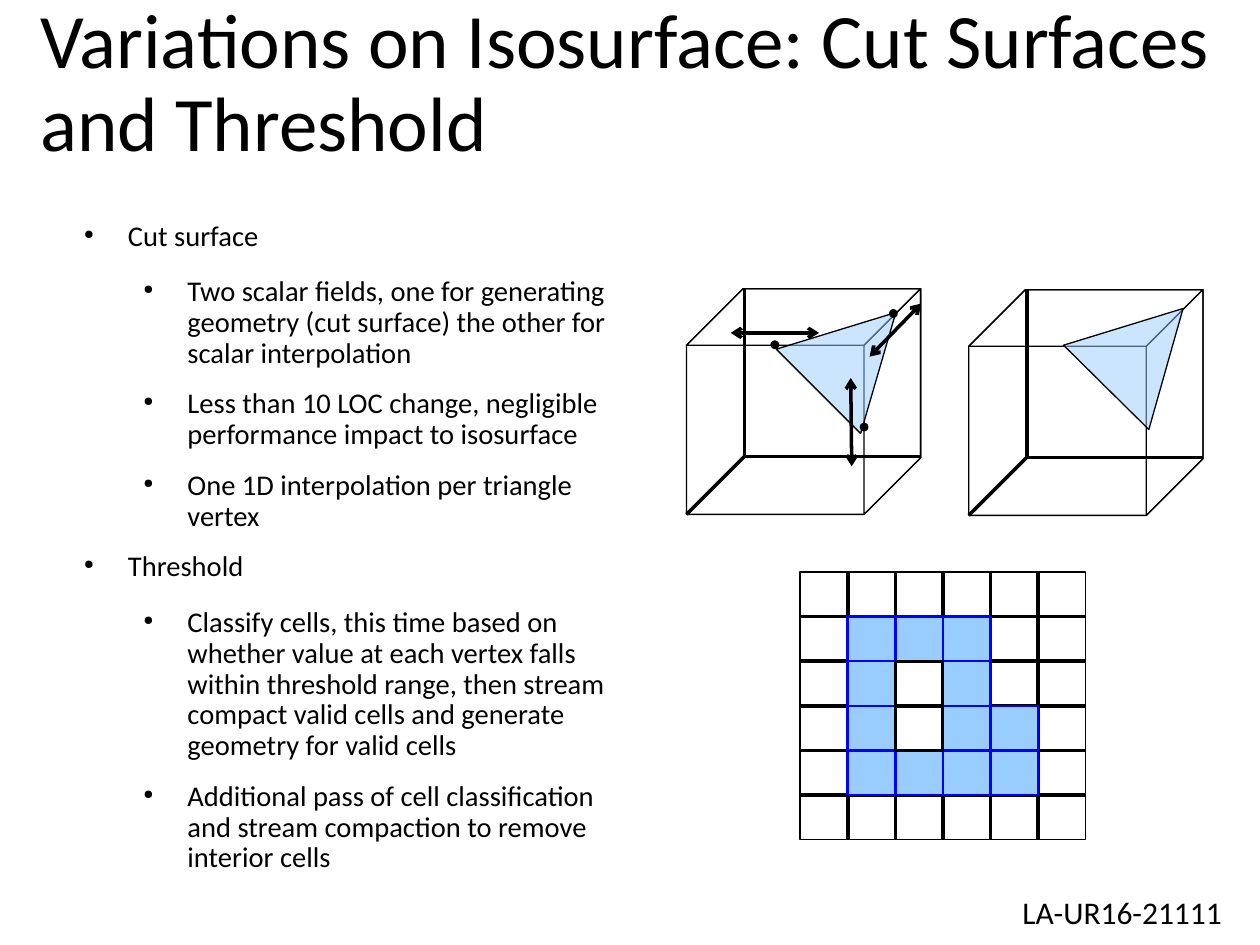
"""Build the slide on cut surfaces and threshold as isosurface variations."""
from lxml import etree
from pptx import Presentation
from pptx.dml.color import RGBColor
from pptx.enum.shapes import MSO_CONNECTOR, MSO_SHAPE
from pptx.enum.text import MSO_ANCHOR, PP_ALIGN
from pptx.oxml.ns import qn
from pptx.util import Cm, Pt

STRAIGHT = MSO_CONNECTOR.STRAIGHT
RECT, OVAL = MSO_SHAPE.RECTANGLE, MSO_SHAPE.OVAL
MIDDLE, TOP = MSO_ANCHOR.MIDDLE, MSO_ANCHOR.TOP
LEFT, CENTER = PP_ALIGN.LEFT, PP_ALIGN.CENTER

THEME = {
    "font": "Calibri", "title": 44, "body": 16.3, "report": 18,
    "ink": RGBColor(0, 0, 0), "cell": RGBColor(0x99, 0xCC, 0xFF),
    "edge": RGBColor(0, 0, 0xFF), "hairline": 0, "bold_line": 1.45,
}

TITLE = "Variations on Isosurface: Cut Surfaces and Threshold"
REPORT = "LA-UR16-21111"
BULLETS = [
    (0, "Cut surface"),
    (1, "Two scalar fields, one for generating geometry (cut surface) the other for scalar interpolation"),
    (1, "Less than 10 LOC change, negligible performance impact to isosurface"),
    (1, "One 1D interpolation per triangle vertex"),
    (0, "Threshold"),
    (1, "Classify cells, this time based on whether value at each vertex falls within threshold range, "
        "then stream compact valid cells and generate geometry for valid cells"),
    (1, "Additional pass of cell classification and stream compaction to remove interior cells"),
]
LEVELS = [
    {"marL": Cm(1.19), "after": 14.2},
    {"marL": Cm(2.39), "after": 11.3},
]
HANGING = Cm(0.89)

CUBES = [(13.84, 5.82), (19.53, 5.84)]
CUBE_W, CUBE_H, DEPTH = 4.72, 4.55, 1.14
BACK_X, BACK_Y = 1.17, 3.38
TRIANGLES = [
    [(18.06, 6.3), (17.35, 8.74), (15.65, 7.04)],
    [(23.85, 6.22), (23.16, 8.66), (21.44, 6.96)],
]
ARROWS = [
    ((14.73, 6.71), (16.51, 6.71)),
    ((18.57, 6.12), (17.53, 7.19)),
    ((17.15, 7.62), (17.17, 9.4)),
]
DOTS = [(15.62, 6.95), (18.01, 6.32), (17.42, 8.61)]
DOT = 0.15

GRID_X, GRID_Y, CELL_W, CELL_H = 16.13, 11.53, 0.96, 0.9
CELLS = [
    "......",
    ".###..",
    ".#o#..",
    ".#o##.",
    ".####.",
    "......",
]


def style(sp, fill=None, line=THEME["ink"], width=THEME["hairline"], alpha=None):
    sp.shadow.inherit = False
    if fill is None:
        sp.fill.background()
    else:
        sp.fill.solid()
        sp.fill.fore_color.rgb = fill
    if alpha is not None:
        color = sp.fill._xPr.find(qn("a:solidFill"))[0]
        etree.SubElement(color, qn("a:alpha"), val=str(alpha * 1000))
    sp.line.color.rgb = line
    sp.line.width = Pt(width)


def add_shape(s, kind, x, y, w, h, **look):
    style(s.shapes.add_shape(kind, Cm(x), Cm(y), Cm(w), Cm(h)), **look)


def add_outline(s, contours, **look):
    points = [[(Cm(x), Cm(y)) for x, y in contour] for contour in contours]
    builder = s.shapes.build_freeform(*points[0][0])
    builder.add_line_segments(points[0][1:], close=True)
    for contour in points[1:]:
        builder.move_to(*contour[0])
        builder.add_line_segments(contour[1:], close=True)
    style(builder.convert_to_shape(), **look)


def add_line(s, start, end, arrows=False):
    c = s.shapes.add_connector(STRAIGHT, *(Cm(v) for v in start + end))
    c.line.color.rgb = THEME["ink"]
    c.line.width = Pt(THEME["hairline"])
    if arrows:
        for tag in ("a:headEnd", "a:tailEnd"):
            etree.SubElement(c.line._ln, qn(tag), type="arrow")
    etree.SubElement(c._element.spPr, qn("a:effectLst"))


def add_text(s, box, paragraphs, size, anchor=TOP, **fmt):
    tf = s.shapes.add_textbox(*(Cm(v) for v in box)).text_frame
    tf.word_wrap = True
    tf.vertical_anchor = anchor
    for i, (level, text) in enumerate(paragraphs):
        p = tf.paragraphs[0] if i == 0 else tf.add_paragraph()
        for name, value in fmt.items():
            setattr(p, name, value)
        if level is not None:
            add_bullet(p, level)
        r = p.add_run()
        r.text = text
        for name, value in {"name": THEME["font"], "size": Pt(size)}.items():
            setattr(r.font, name, value)
        r.font.color.rgb = THEME["ink"]


def add_bullet(p, level):
    p.level = level
    p.space_after = Pt(LEVELS[level]["after"])
    pPr = p._p.get_or_add_pPr()
    pPr.set("marL", str(LEVELS[level]["marL"]))
    pPr.set("indent", str(-HANGING))
    etree.SubElement(pPr, qn("a:buSzPct"), val="45000")
    etree.SubElement(pPr, qn("a:buChar"), char="●")


def add_cube(s, x, y):
    right, bottom = x + CUBE_W, y + CUBE_H
    front_x, front_y = right - DEPTH, y + DEPTH
    top_left, top_right = (x + DEPTH, y), (right, y)
    left_corner, near_corner = (x, front_y), (front_x, front_y)
    base, side = (front_x, bottom), (right, bottom - DEPTH)
    add_outline(s, [
        [(x, bottom), left_corner, top_left, top_right, side, base],
        [left_corner, top_left, top_right, near_corner],
        [base, near_corner, top_right, side],
    ])
    back = (x + BACK_X, y + BACK_Y)
    for start in [(x + BACK_X, y), (right, y + BACK_Y), (x, bottom)]:
        add_line(s, start, back)


def add_grid(s):
    rows, cols = len(CELLS), len(CELLS[0])
    w, h = cols * CELL_W, rows * CELL_H
    add_shape(s, RECT, GRID_X, GRID_Y, w, h)
    for i in range(1, cols):
        x = GRID_X + i * CELL_W
        add_line(s, (x, GRID_Y), (x, GRID_Y + h))
    for i in range(1, rows):
        y = GRID_Y + i * CELL_H
        add_line(s, (GRID_X, y), (GRID_X + w, y))
    looks = {
        "#": {"fill": THEME["cell"], "line": THEME["edge"]},
        "o": {"line": THEME["ink"]},
    }
    for mark, look in looks.items():
        for row, marks in enumerate(CELLS):
            for col, found in enumerate(marks):
                if found == mark:
                    add_shape(s, RECT, GRID_X + col * CELL_W, GRID_Y + row * CELL_H,
                              CELL_W, CELL_H, width=THEME["bold_line"], **look)


def main():
    prs = Presentation()
    prs.slide_width, prs.slide_height = Cm(25.4), Cm(19.05)
    s = prs.slides.add_slide(prs.slide_layouts[6])
    add_text(s, (0.56, -0.1, 24.26, 3.63), [(None, TITLE)], THEME["title"],
             anchor=MIDDLE, line_spacing=0.9, alignment=LEFT)
    add_text(s, (1.14, 4.34, 11.94, 13.51), BULLETS, THEME["body"], line_spacing=0.9)
    for (x, y), triangle in zip(CUBES, TRIANGLES):
        add_cube(s, x, y)
        add_outline(s, [triangle], fill=THEME["cell"], alpha=50)
    for start, end in ARROWS:
        add_line(s, start, end, arrows=True)
    for x, y in DOTS:
        add_shape(s, OVAL, x - DOT / 2, y - DOT / 2, DOT, DOT, fill=THEME["ink"])
    add_grid(s)
    add_text(s, (20.02, 17.88, 5.21, 1.02), [(None, REPORT)], THEME["report"], alignment=CENTER)
    prs.save("out.pptx")


if __name__ == "__main__":
    main()
